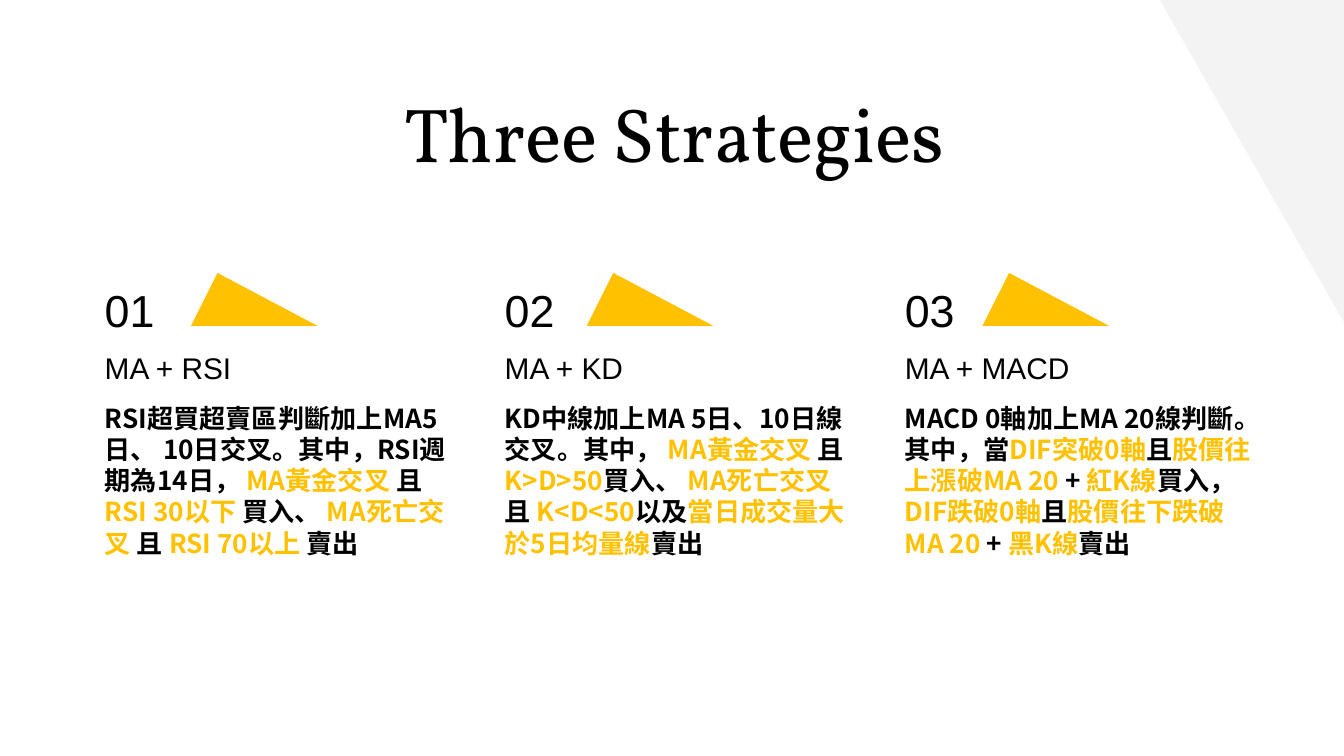
from pptx import Presentation
from pptx.dml.color import RGBColor
from pptx.enum.shapes import MSO_SHAPE
from pptx.enum.text import MSO_ANCHOR, PP_ALIGN
from pptx.oxml.ns import qn
from pptx.util import Cm, Pt

TRIANGLE, RIGHT_TRIANGLE = MSO_SHAPE.ISOSCELES_TRIANGLE, MSO_SHAPE.RIGHT_TRIANGLE
TOP, MIDDLE = MSO_ANCHOR.TOP, MSO_ANCHOR.MIDDLE
LEFT, CENTER = PP_ALIGN.LEFT, PP_ALIGN.CENTER

BLACK = RGBColor(0x00, 0x00, 0x00)
GOLD = RGBColor(0xFF, 0xC1, 0x00)
GREY = RGBColor(0xF3, 0xF3, 0xF3)
WHITE = RGBColor(0xFF, 0xFF, 0xFF)
SERIF, SANS, CJK = "Vollkorn", "Arial", "Noto Sans CJK TC"

COLUMN_X, COLUMN_Y, COLUMN_PITCH = 1.73, 5.16, 7.56

# Number, name, body height, paragraphs whose runs alternate black and gold
STRATEGIES = [
    ("01", "MA + RSI", 1, [
        ["RSI超買超賣區判斷加上MA5日、 10日交叉。其中，RSI週期為14日，",
         " MA黃金交叉 ", "且", "RSI 30以下 ", "買入、", " MA死亡交叉 ",
         "且 ", "RSI 70以上 ", "賣出"]]),
    ("02", "MA + KD", 1, [
        ["KD中線加上MA 5日、10日線交叉。其中，", " MA黃金交叉 ", "且 ",
         "K>D>50", "買入、", " MA死亡交叉 ", "且 ", "K<D<50", "以及",
         "當日成交量大於5日均量線", "賣出"]]),
    ("03", "MA + MACD", 4.83, [
        ["MACD 0軸加上MA 20線判斷。"],
        ["其中，當", "DIF突破0軸", "且", "股價往上漲破MA 20", " + ", "紅K線",
         "買入，", " DIF跌破0軸", "且", "股價往下跌破MA 20", " + ", "黑K線",
         "賣出"]]),
]


def add_text(s, box, paragraphs, font, size, bold=False, align=LEFT,
             anchor=TOP, spacing=None):
    tf = s.shapes.add_textbox(*map(Cm, box)).text_frame
    tf.word_wrap = True
    tf.vertical_anchor = anchor
    tf.margin_left = tf.margin_right = Cm(0.25)
    tf.margin_top = tf.margin_bottom = Cm(0.25)
    for n, runs in enumerate(paragraphs):
        p = tf.add_paragraph() if n else tf.paragraphs[0]
        p.alignment = align
        if spacing:
            p.line_spacing = spacing
        for i, text in enumerate(runs):
            r = p.add_run()
            r.text = text
            r.font.name, r.font.size, r.font.bold = font, Pt(size), bold
            r.font.color.rgb = GOLD if i % 2 else BLACK
            ea = r.font._element.makeelement(qn("a:ea"), {"typeface": font})
            r.font._element.find(qn("a:latin")).addnext(ea)


def add_plain_shape(s, kind, box, color):
    sp = s.shapes.add_shape(kind, *map(Cm, box))
    sp.shadow.inherit = False
    sp.fill.solid()
    sp.fill.fore_color.rgb = color
    sp.line.fill.background()
    return sp


def add_corner(s, box):
    add_plain_shape(s, RIGHT_TRIANGLE, box, GREY).rotation = 180


def add_strategy(s, x, y, marker_dx, number, name, height, body):
    # Marker beside the number
    marker = add_plain_shape(s, TRIANGLE, (x + marker_dx, y, 2.39, 1), GOLD)
    marker.adjustments[0] = 0.21
    add_text(s, (x, y + 0.2, 3, 1), [[number]], SANS, 24, anchor=MIDDLE)
    # Name and rules
    add_text(s, (x, y + 1.2, 6, 1), [[name]], SANS, 16)
    add_text(s, (x, y + 2.2, 7.22, height), body, CJK, 14, bold=True,
             spacing=Pt(16.7))


prs = Presentation()
prs.slide_width, prs.slide_height = Cm(25.4), Cm(14.29)
s = prs.slides.add_slide(prs.slide_layouts[6])
s.background.fill.solid()
s.background.fill.fore_color.rgb = WHITE

# Corner and title
add_corner(s, (21.92, 0, 3.48, 6.09))
add_text(s, (1.5, 1.37, 22.5, 1.6), [["Three Strategies"]], SERIF, 41,
         align=CENTER)

# Columns; the markers sit on a slightly tighter pitch
for i, strategy in enumerate(STRATEGIES):
    add_strategy(s, COLUMN_X + i * COLUMN_PITCH, COLUMN_Y, 1.88 - 0.08 * i,
                 *strategy)

prs.save("out.pptx")
